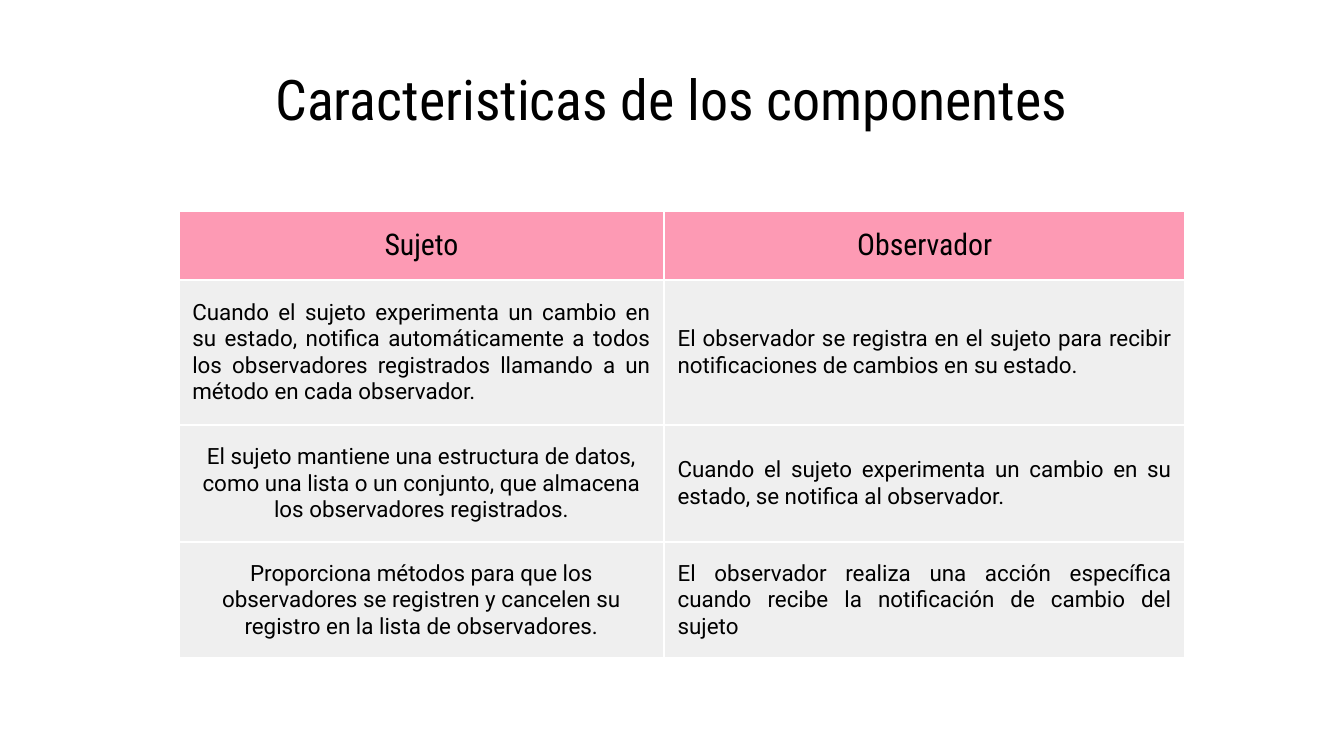
from dataclasses import dataclass

from lxml.etree import SubElement
from pptx import Presentation
from pptx.dml.color import RGBColor
from pptx.enum.text import MSO_ANCHOR as ANCHOR, PP_ALIGN as ALIGN
from pptx.oxml.ns import qn
from pptx.util import Pt


@dataclass(frozen=True)
class Theme:
    ink: str = "000000"
    line: str = "FFFFFF"
    header: str = "FD9AB4"
    body: str = "EFEFEF"
    head_font: str = "Roboto Condensed"
    body_font: str = "Roboto"
    title_size: float = 30
    header_size: float = 16
    body_size: float = 12
    border: float = 1.5
    inset: float = 7.2


class SlideBuilder:
    def __init__(self, slide, theme):
        self.s = slide
        self.theme = theme

    def add_text(self, tf, text, font, size, align):
        p = tf.paragraphs[0]
        p.alignment = align
        r = p.add_run()
        r.text = text
        r.font.name = font
        r.font.size = Pt(size)
        r.font.bold = False
        r.font.color.rgb = RGBColor.from_string(self.theme.ink)

    def set_insets(self, box):
        box.margin_left = box.margin_right = Pt(self.theme.inset)
        box.margin_top = box.margin_bottom = Pt(self.theme.inset)

    def title(self, text, left, top, width, height):
        sp = self.s.shapes.title
        sp.left, sp.top, sp.width, sp.height = map(Pt, (left, top, width, height))
        tf = sp.text_frame
        tf.word_wrap = True
        tf.vertical_anchor = ANCHOR.MIDDLE
        self.set_insets(tf)
        self.add_text(tf, text, self.theme.head_font, self.theme.title_size, ALIGN.CENTER)

    def borders(self, cell):
        tc_pr = cell._tc.get_or_add_tcPr()
        for side in ("lnL", "lnR", "lnT", "lnB"):
            ln = SubElement(tc_pr, qn(f"a:{side}"), w=str(Pt(self.theme.border)))
            fill = SubElement(ln, qn("a:solidFill"))
            SubElement(fill, qn("a:srgbClr"), val=self.theme.line)

    def cell(self, cell, text, fill, font, size, align):
        self.borders(cell)
        cell.fill.solid()
        cell.fill.fore_color.rgb = RGBColor.from_string(fill)
        cell.vertical_anchor = ANCHOR.MIDDLE
        self.set_insets(cell)
        self.add_text(cell.text_frame, text, font, size, align)

    def table(self, left, top, widths, heights, headers, rows):
        th = self.theme
        frame = self.s.shapes.add_table(
            len(heights), len(widths), Pt(left), Pt(top), Pt(sum(widths)), Pt(sum(heights)))
        table = frame.table
        table.first_row = table.horz_banding = False
        for col, width in zip(table.columns, widths):
            col.width = Pt(width)
        for row, height in zip(table.rows, heights):
            row.height = Pt(height)

        # Clear spacer row above the headers
        for cell in table.rows[0].cells:
            self.borders(cell)
            cell.fill.background()

        # Header row
        for cell, text in zip(table.rows[1].cells, headers):
            self.cell(cell, text, th.header, th.head_font, th.header_size, ALIGN.CENTER)

        # Body rows
        for i, row in enumerate(rows, start=2):
            for cell, (text, align) in zip(table.rows[i].cells, row):
                self.cell(cell, text, th.body, th.body_font, th.body_size, align)


FEATURES = [
    [("Cuando el sujeto experimenta un cambio en su estado, notifica automáticamente "
      "a todos los observadores registrados llamando a un método en cada observador.",
      ALIGN.JUSTIFY),
     ("El observador se registra en el sujeto para recibir notificaciones de cambios "
      "en su estado.", ALIGN.JUSTIFY)],
    [("El sujeto mantiene una estructura de datos, como una lista o un conjunto, que "
      "almacena los observadores registrados.", ALIGN.CENTER),
     ("Cuando el sujeto experimenta un cambio en su estado, se notifica al observador.",
      ALIGN.JUSTIFY)],
    [("Proporciona métodos para que los observadores se registren y cancelen su "
      "registro en la lista de observadores.", ALIGN.CENTER),
     ("El observador realiza una acción específica cuando recibe la notificación de "
      "cambio del sujeto", ALIGN.JUSTIFY)],
]


def main():
    prs = Presentation()
    prs.slide_width, prs.slide_height = Pt(720), Pt(405)
    title_only = prs.slide_layouts[5]
    builder = SlideBuilder(prs.slides.add_slide(title_only), Theme())

    # Title
    builder.title("Caracteristicas de los componentes", 35.5, 34, 649, 37.5)

    # Comparison table
    builder.table(
        left=95.8, top=76.5, widths=(260, 279.2), heights=(36.7, 36.7, 77.8, 62.6, 62.6),
        headers=("Sujeto", "Observador"), rows=FEATURES)

    prs.save("out.pptx")


if __name__ == "__main__":
    main()
